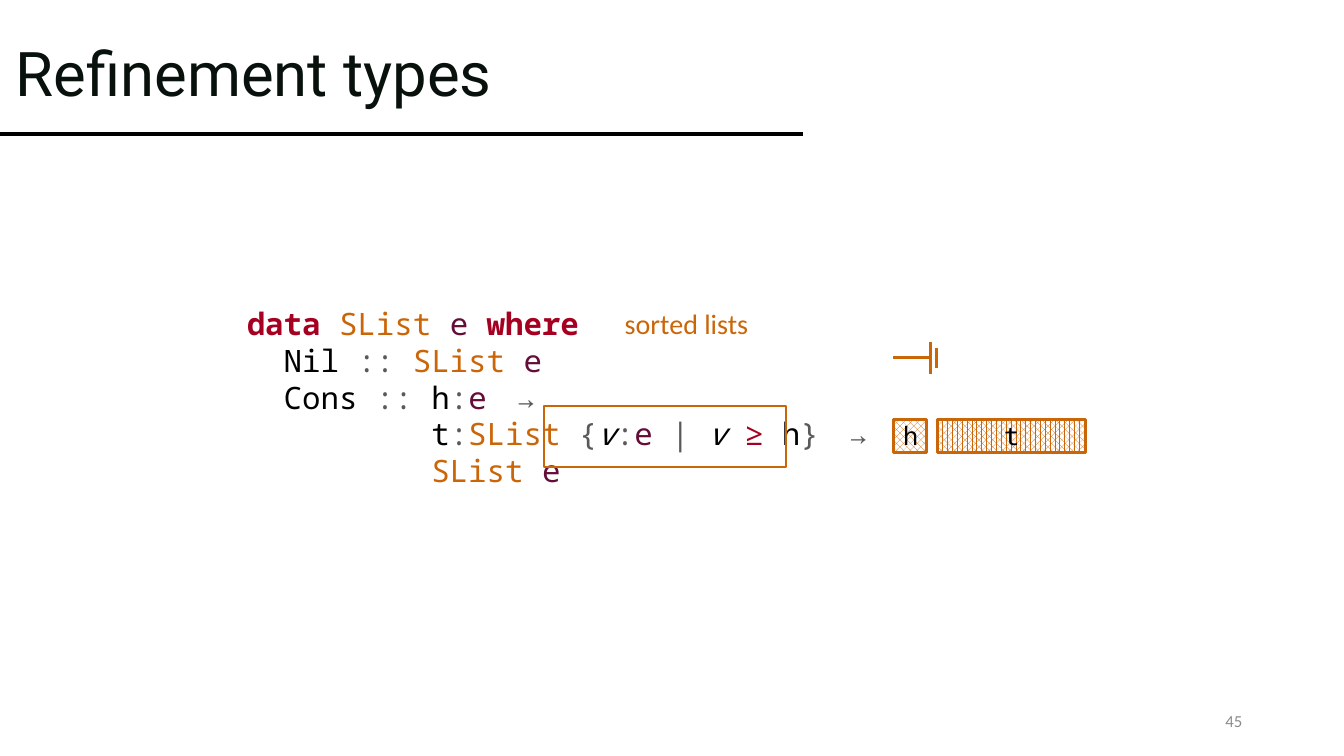
from lxml import etree
from pptx import Presentation
from pptx.dml.color import RGBColor
from pptx.enum.dml import MSO_PATTERN
from pptx.enum.shapes import MSO_CONNECTOR, MSO_SHAPE
from pptx.enum.text import MSO_ANCHOR, PP_ALIGN
from pptx.oxml.ns import qn
from pptx.util import Inches, Pt

# Content
TITLE, PAGE, CAPTION = "Refinement types", "45", "sorted lists"
MONO = "Noto Sans Mono"
ORANGE, BLACK, WHITE = "CB6608", "000000", "FFFFFF"

# Token kinds of the code: run format
KINDS = {
    "key": dict(color="A50021", bold=True),
    "op": dict(color="A50021"),
    "type": dict(color=ORANGE),
    "var": dict(color="640D38"),
    "name": dict(color=BLACK),
    "value": dict(color=BLACK, italic=True),
    "mark": dict(color="595959"),
    "gap": dict(color=BLACK, size=18),
}
CODE = [
    [("data ", "key"), ("SList ", "type"), ("e ", "var"), ("where", "key")],
    [("  Nil ", "name"), (":: ", "mark"), ("SList ", "type"), ("e", "var")],
    [("  Cons ", "name"), ("::", "mark"), (" h", "name"), (":", "mark"),
     ("e", "var"), ("  ", "gap"), ("→", "mark")],
    [("          t", "name"), (":", "mark"), ("SList ", "type"), ("{", "mark"),
     ("v", "value"), (":", "mark"), ("e ", "var"), ("| ", "mark"),
     ("v ", "value"), ("≥", "op"), (" h", "name"), ("}", "mark"),
     ("  ", "gap"), ("→", "mark")],
    [("          SList ", "type"), ("e", "var")],
]

# Diagram: list cells (text, left, width, pattern) and the empty-list symbol
CELL_TOP, CELL_H = 4.16, 0.33
CELLS = [("h", 8.86, 0.33, MSO_PATTERN.PERCENT_50),
         ("t", 9.3, 1.47, MSO_PATTERN.PERCENT_70)]
NIL_Y = 3.55
NIL_BARS = [(9.23, 0.16), (9.29, 0.1)]  # x, half height


def rgb(code):
    return RGBColor.from_string(code)


def add_run(p, text, size=22, font=MONO, color=BLACK, bold=False, italic=False):
    r = p.add_run()
    r.text = text
    f = r.font
    f.size, f.name, f.bold, f.italic = Pt(size), font, bold, italic
    f.color.rgb = rgb(color)


def add_box(s, left, top, width, height, anchor=MSO_ANCHOR.TOP):
    tf = s.shapes.add_textbox(*map(Inches, (left, top, width, height))).text_frame
    tf.word_wrap = True
    tf.vertical_anchor = anchor
    return tf


def add_line(s, x1, y1, x2, y2, color=ORANGE, width=2):
    c = s.shapes.add_connector(MSO_CONNECTOR.STRAIGHT, *map(Inches, (x1, y1, x2, y2)))
    c.line.color.rgb = rgb(color)
    c.line.width = Pt(width)
    etree.SubElement(c._element.spPr, qn("a:effectLst"))


def add_rect(s, left, top, width, height, line_width, pattern=None):
    sp = s.shapes.add_shape(MSO_SHAPE.RECTANGLE,
                            *map(Inches, (left, top, width, height)))
    sp.shadow.inherit = False
    sp.line.color.rgb = rgb(ORANGE)
    sp.line.width = Pt(line_width)
    if pattern is None:
        sp.fill.background()
    else:
        sp.fill.patterned()
        sp.fill.pattern = pattern
        sp.fill.fore_color.rgb = rgb(ORANGE)
        sp.fill.back_color.rgb = rgb(WHITE)
    return sp


prs = Presentation()
prs.slide_width, prs.slide_height = Inches(13.33), Inches(7.5)
s = prs.slides.add_slide(prs.slide_layouts[6])

# Title, rule and page number
add_line(s, 0, 1.33, 7.96, 1.33, color=BLACK, width=2.25)
p = add_box(s, 0.06, 0.03, 7.51, 1.45, MSO_ANCHOR.MIDDLE).paragraphs[0]
p.line_spacing = 0.9
add_run(p, TITLE, size=44, font="Roboto", color="08110B")
p = add_box(s, 9.42, 6.95, 3, 0.4, MSO_ANCHOR.MIDDLE).paragraphs[0]
p.alignment = PP_ALIGN.RIGHT
add_run(p, PAGE, size=12, font="Calibri", color="8C8C8C")

# Code
tf = add_box(s, 2.35, 2.97, 9.57, 1.95)
for i, tokens in enumerate(CODE):
    p = tf.add_paragraph() if i else tf.paragraphs[0]
    for text, kind in tokens:
        add_run(p, text, **KINDS[kind])

# Caption and frame around the refinement
p = add_box(s, 5.52, 2.99, 2, 0.44).paragraphs[0]
p.alignment = PP_ALIGN.RIGHT
add_run(p, CAPTION, size=20, font="Calibri", color=ORANGE)
add_rect(s, 5.4, 4.03, 2.4, 0.6, 1.5)

# Empty-list symbol
add_line(s, 8.86, NIL_Y, 9.22, NIL_Y)
for x, half in NIL_BARS:
    add_line(s, x, NIL_Y + half, x, NIL_Y - half)

# List cells
for text, left, width, pattern in CELLS:
    tf = add_rect(s, left, CELL_TOP, width, CELL_H, 2, pattern).text_frame
    tf.vertical_anchor = MSO_ANCHOR.MIDDLE
    p = tf.paragraphs[0]
    p.alignment = PP_ALIGN.CENTER
    add_run(p, text, size=18)

prs.save("out.pptx")
